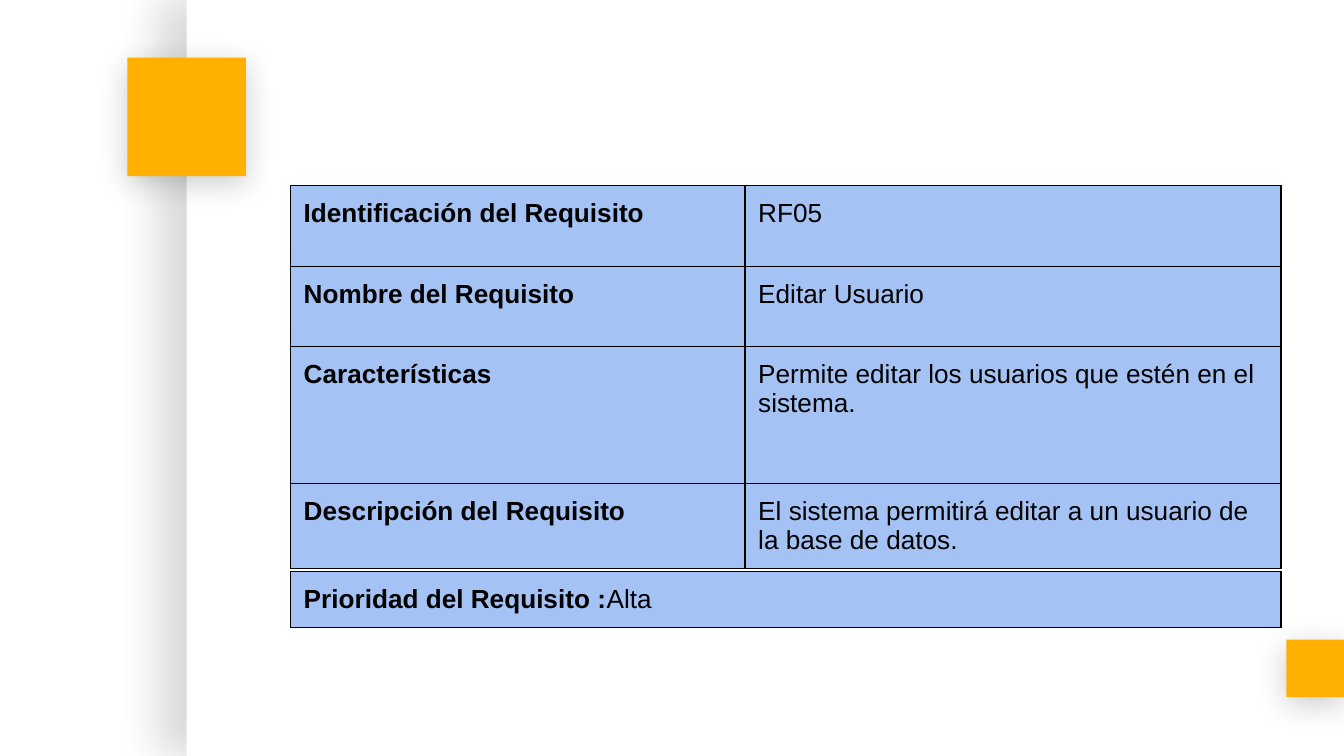
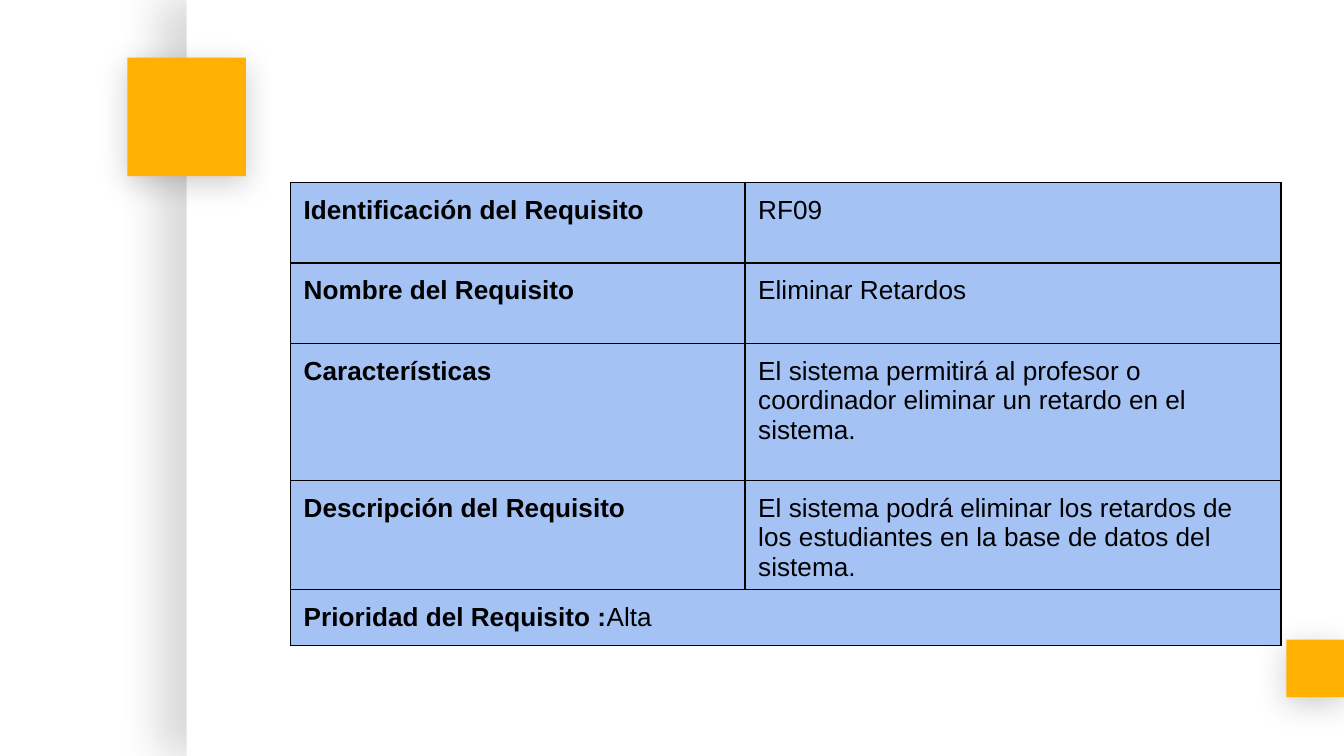
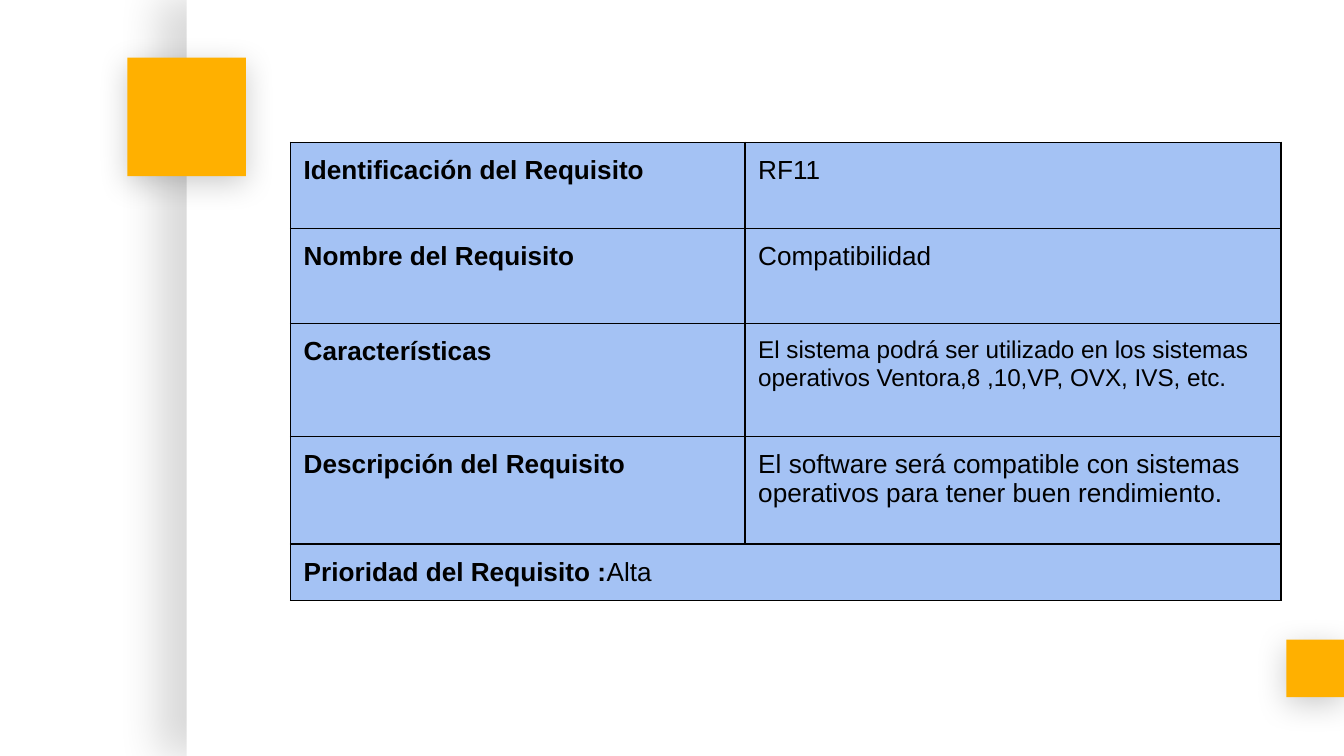
from lxml.etree import SubElement as Sub
from pptx import Presentation
from pptx.dml.color import RGBColor as RGB
from pptx.enum.shapes import MSO_SHAPE as Form
from pptx.oxml.ns import qn
from pptx.util import Cm, Pt

HUES = {"page": "FFFFFF", "accent": "FFB000", "cell": "A4C2F4", "ink": "000000"}
WIDE, HIGH = 25.4, 14.29
LEFT = 5.49
COLS = [8.59, 10.13]
LABELS = [
    "Identificación del Requisito",
    "Nombre del Requisito",
    "Características",
    "Descripción del Requisito",
]
EVEN = [1.52, 1.52, 2.59, 1.52]
CARDS = [
    {
        "top": 3.51, "rows": EVEN, "foot": 10.8,
        "facts": [
            "RF05",
            "Editar Usuario",
            "Permite editar los usuarios que estén en el sistema.",
            "El sistema permitirá editar a un usuario de la base de datos.",
        ],
    },
    {
        "top": 3.45, "rows": EVEN, "foot": 11.15,
        "facts": [
            "RF09",
            "Eliminar Retardos",
            "El sistema permitirá al profesor o coordinador eliminar un retardo en el sistema.",
            "El sistema podrá eliminar los retardos de los estudiantes en la base de datos del sistema.",
        ],
    },
    {
        "top": 2.69, "rows": [1.63, 1.8, 2.13, 2.03], "foot": 10.29,
        "sizes": {2: 13},
        "facts": [
            "RF11",
            "Compatibilidad",
            "El sistema podrá ser utilizado en los sistemas operativos Ventora,8 ,10,VP, OVX, IVS, etc.",
            "El software será compatible con sistemas operativos para tener buen rendimiento.",
        ],
    },
]


def write(para, text, size=14, bold=False, hue="ink", face="Arial"):
    run = para.add_run()
    run.text = text
    font = run.font
    font.name, font.size, font.bold = face, Pt(size), bold
    font.color.rgb = RGB.from_string(HUES[hue])


class Deck:
    def __init__(self):
        self.prs = Presentation()
        self.prs.slide_width, self.prs.slide_height = Cm(WIDE), Cm(HIGH)
        self.slide = None

    def page(self):
        self.slide = self.prs.slides.add_slide(self.prs.slide_layouts[6])
        self.block(3.53, 0, WIDE - 3.53, HIGH, "page", 15, 22.5, 15, 180)
        for left, top, side in [(24.31, 12.09, 1.09), (2.41, 1.09, 2.24)]:
            self.block(left, top, side, side, "accent", 20, 16.9, 3.8, 90)

    def block(self, left, top, wide, high, hue, alpha, blur, gap, angle):
        box = self.slide.shapes.add_shape(
            Form.RECTANGLE, Cm(left), Cm(top), Cm(wide), Cm(high))
        box.fill.solid()
        box.fill.fore_color.rgb = RGB.from_string(HUES[hue])
        box.line.fill.background()
        box.shadow.inherit = False
        shade = Sub(
            box._element.spPr.find(qn("a:effectLst")), qn("a:outerShdw"),
            blurRad=str(Pt(blur)), dist=str(Pt(gap)), dir=str(angle * 60000),
            algn="bl", rotWithShape="0")
        tint = Sub(shade, qn("a:srgbClr"), val=HUES["ink"])
        Sub(tint, qn("a:alpha"), val=str(alpha * 1000))

    def cell(self, cell, runs):
        cell.margin_left = cell.margin_right = Cm(0.25)
        cell.margin_top = cell.margin_bottom = Cm(0.25)
        props = cell._tc.get_or_add_tcPr()
        for side in "LRTB":
            line = Sub(props, qn(f"a:ln{side}"), w=str(Pt(0.75)))
            Sub(Sub(line, qn("a:solidFill")), qn("a:srgbClr"), val=HUES["ink"])
        cell.fill.solid()
        cell.fill.fore_color.rgb = RGB.from_string(HUES["cell"])
        for text, form in runs:
            write(cell.text_frame.paragraphs[0], text, **form)

    def table(self, top, cols, rows, cells):
        grid = self.slide.shapes.add_table(
            len(rows), len(cols), Cm(LEFT), Cm(top),
            Cm(sum(cols)), Cm(sum(rows))).table
        grid.first_row = grid.horz_banding = False
        for col, wide in zip(grid.columns, cols):
            col.width = Cm(wide)
        for row, high, line in zip(grid.rows, rows, cells):
            row.height = Cm(high)
            for cell, runs in zip(row.cells, line):
                self.cell(cell, runs)

    def card(self, top, rows, foot, facts, sizes={}):
        self.page()
        cells = [
            [[(label, {"bold": True})], [(fact, {"size": sizes.get(i, 14)})]]
            for i, (label, fact) in enumerate(zip(LABELS, facts))
        ]
        self.table(top, COLS, rows, cells)
        rank = [("Prioridad del Requisito :", {"bold": True}), ("Alta", {})]
        self.table(foot, [sum(COLS)], [0.71], [[rank]])


def main():
    deck = Deck()
    for card in CARDS:
        deck.card(**card)
    deck.prs.save("out.pptx")


if __name__ == "__main__":
    main()
